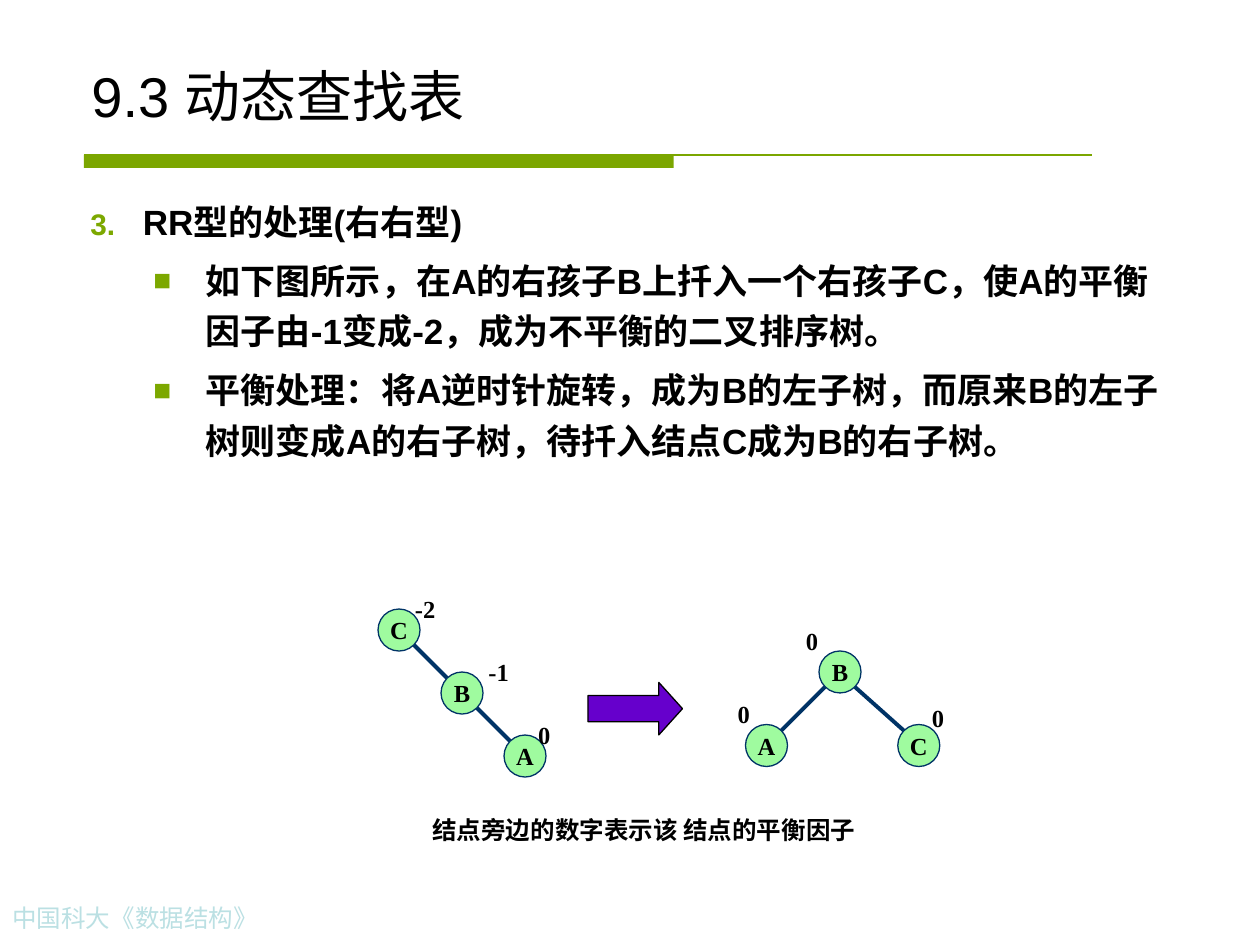
import pptx
import pptx.dml.color
import pptx.enum.shapes
import pptx.enum.text
import pptx.oxml.ns
import pptx.util
from lxml import etree

Pt = pptx.util.Pt
RGBColor = pptx.dml.color.RGBColor
MSO_SHAPE = pptx.enum.shapes.MSO_SHAPE
ALIGN = pptx.enum.text.PP_ALIGN
ANCHOR = pptx.enum.text.MSO_ANCHOR
qn = pptx.oxml.ns.qn

BLACK = RGBColor(0x00, 0x00, 0x00)
RULE_GREEN = RGBColor(0x7B, 0xA6, 0x00)
BULLET_GREEN = RGBColor(0x7C, 0xA8, 0x00)
NODE_GREEN = RGBColor(0x9F, 0xFB, 0x9F)
NAVY = RGBColor(0x00, 0x33, 0x66)
PURPLE = RGBColor(0x66, 0x00, 0xCC)
PALE_BLUE = RGBColor(0xBB, 0xE0, 0xE3)
SANS, SERIF = "Arial", "Times New Roman"

# Content
TITLE = "9.3 动态查找表"
FOOTER = "中国科大《数据结构》"
CAPTION = "结点旁边的数字表示该 结点的平衡因子"
BODY = [  # level, text
    (0, "RR型的处理(右右型)"),
    (1, "如下图所示，在A的右孩子B上扦入一个右孩子C，使A的平衡因子由-1变成-2，成为不平衡的二叉排序树。"),
    (1, "平衡处理：将A逆时针旋转，成为B的左子树，而原来B的左子树则变成A的右子树，待扦入结点C成为B的右子树。"),
]
NODE_SIZE = 24
TREES = [  # nodes: name -> (left, top); factors: text, left, top, width
    {
        "nodes": {"C": (216, 348), "B": (252, 384), "A": (288, 420)},
        "edges": ["CB", "BA"],
        "factors": [("-2", 228, 336, 30), ("-1", 270, 372, 30), ("0", 300, 408, 22)],
    },
    {
        "nodes": {"C": (513, 414), "B": (468, 372), "A": (426, 414)},
        "edges": ["CB", "BA"],
        "factors": [("0", 525, 398, 22), ("0", 453, 354, 22), ("0", 414, 396, 22)],
    },
]


def style(paragraph, font_name, size, color, bold=False):
    font = paragraph.font
    font.name, font.size, font.bold = font_name, Pt(size), bold
    font.color.rgb = color


def paint(shape, fill, line):
    shape.shadow.inherit = False
    shape.fill.solid()
    shape.fill.fore_color.rgb = fill
    if line is None:
        shape.line.fill.background()
    else:
        shape.line.color.rgb = line
        shape.line.width = Pt(0.75)


def add_text(shapes, text, box, font_name=SERIF, size=14, color=BLACK, bold=True,
             align=ALIGN.CENTER):
    text_box = shapes.add_textbox(*map(Pt, box))
    text_box.text_frame.word_wrap = True
    paragraph = text_box.text_frame.paragraphs[0]
    paragraph.text = text
    paragraph.alignment = align
    style(paragraph, font_name, size, color, bold)


def add_line(shapes, start, end, color, width):
    connector = shapes.add_connector(pptx.enum.shapes.MSO_CONNECTOR.STRAIGHT,
                                     *map(Pt, (*start, *end)))
    connector.line.color.rgb = color
    connector.line.width = Pt(width)
    etree.SubElement(connector._element.spPr, qn("a:effectLst"))


def add_bullet(paragraph, level):
    properties = paragraph._p.get_or_add_pPr()
    properties.set("marL", str(Pt(66 if level else 30)))
    properties.set("indent", str(Pt(-30)))
    color = etree.SubElement(properties, qn("a:buClr"))
    etree.SubElement(color, qn("a:srgbClr"), val=str(BULLET_GREEN))
    etree.SubElement(properties, qn("a:buSzPct"), val="85000")
    if level:
        etree.SubElement(properties, qn("a:buFont"), typeface=SANS)
        etree.SubElement(properties, qn("a:buChar"), char="■")
    else:
        etree.SubElement(properties, qn("a:buFont"), typeface=SANS)
        etree.SubElement(properties, qn("a:buAutoNum"), type="arabicPeriod", startAt="3")


def add_tree(slide, tree):
    shapes = slide.shapes.add_group_shape().shapes
    nodes = tree["nodes"]
    for name, (left, top) in nodes.items():
        node = shapes.add_shape(MSO_SHAPE.OVAL, Pt(left), Pt(top), Pt(NODE_SIZE), Pt(NODE_SIZE))
        paint(node, NODE_GREEN, NAVY)
        frame = node.text_frame
        frame.word_wrap = False
        frame.vertical_anchor = ANCHOR.MIDDLE
        frame.text = name
        frame.paragraphs[0].alignment = ALIGN.CENTER
        style(frame.paragraphs[0], SERIF, 14, BLACK, True)

    # Edges run between the diagonal points of the circles
    half, diagonal = NODE_SIZE / 2, NODE_SIZE / 2 * 0.71
    for first, second in tree["edges"]:
        start, end = [], []
        for a, b in zip(nodes[first], nodes[second]):
            step = diagonal if b > a else -diagonal
            start.append(a + half + step)
            end.append(b + half - step)
        add_line(shapes, start, end, NAVY, 2.25)

    for text, left, top, width in tree["factors"]:
        add_text(shapes, text, (left, top, width, 24.5))


def main():
    presentation = pptx.Presentation()
    presentation.slide_width, presentation.slide_height = Pt(720), Pt(540)
    slide = presentation.slides.add_slide(presentation.slide_layouts[5])
    shapes = slide.shapes

    # Rule under the title: thick bar and thin line
    bar = shapes.add_shape(MSO_SHAPE.RECTANGLE, Pt(48), Pt(88.5), Pt(337), Pt(7.5))
    paint(bar, RULE_GREEN, None)
    add_line(shapes, (48, 88.5), (624, 88.5), RULE_GREEN, 0.75)

    # Footer
    add_text(shapes, FOOTER, (0, 512.5, 224, 24.5), color=PALE_BLUE, bold=False,
             align=ALIGN.LEFT)

    # Title
    title = shapes.title
    title.left, title.top, title.width, title.height = map(Pt, (45, 24, 630, 53))
    title.text_frame.text = TITLE
    title.text_frame.vertical_anchor = ANCHOR.BOTTOM
    title.text_frame.paragraphs[0].alignment = ALIGN.LEFT
    style(title.text_frame.paragraphs[0], SANS, 32, BLACK)

    # Body
    body = shapes.add_textbox(*map(Pt, (44.5, 106, 630, 212)))
    frame = body.text_frame
    frame.word_wrap = True
    for index, (level, text) in enumerate(BODY):
        paragraph = frame.paragraphs[0] if index == 0 else frame.add_paragraph()
        paragraph.text = text
        paragraph.level = level
        paragraph.line_spacing = 1.2
        paragraph.space_before = Pt(5 if index else 0)
        add_bullet(paragraph, level)
        style(paragraph, SANS, 20, BLACK, True)

    # Trees before and after the rotation
    for tree in TREES:
        add_tree(slide, tree)
    arrow = shapes.add_shape(MSO_SHAPE.RIGHT_ARROW, *map(Pt, (336, 390, 54, 30)))
    arrow.adjustments[0], arrow.adjustments[1] = 0.5, 0.45
    paint(arrow, PURPLE, BLACK)
    add_text(shapes, CAPTION, (235, 462, 266, 24.5))

    presentation.save("out.pptx")


if __name__ == "__main__":
    main()
